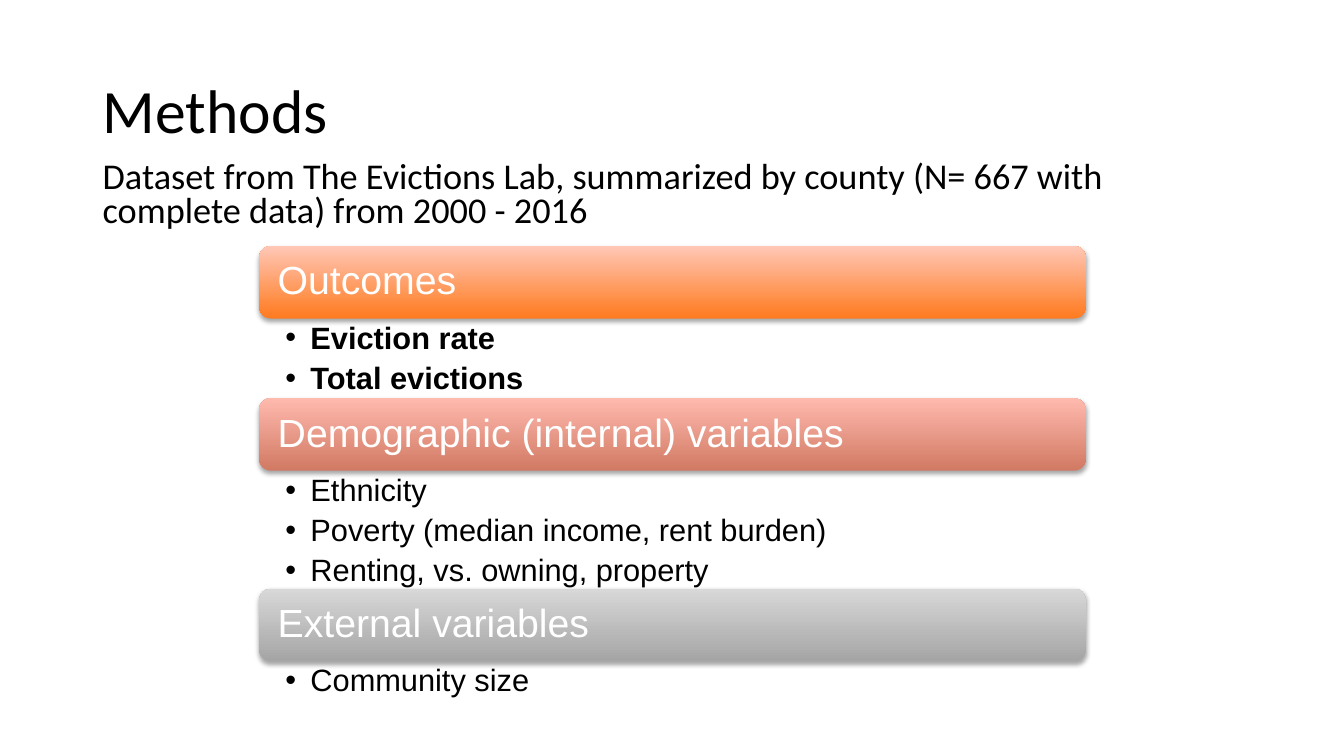
from lxml import etree
from pptx import Presentation, util as u
from pptx.dml.color import RGBColor
from pptx.enum import shapes, text
from pptx.oxml import ns

PX = 9144  # EMU per px, 100 px to the inch

# Bar label, dark and light colour, list height, bold list, items
GROUPS = [
    ("Outcomes", "FF7A1F", "FFC7B6", 79, True,
     ["Eviction rate", "Total evictions"]),
    ("Demographic (internal) variables", "D17963", "FFBAAE", 117, False,
     ["Ethnicity", "Poverty (median income, rent burden)",
      "Renting, vs. owning, property"]),
    ("External variables", "A5A5A5", "D8D8D8", 51, False,
     ["Community size"]),
]
BAR = 72


def px(n):
    return u.Emu(n * PX)


def rgb(code):
    return RGBColor.from_string(code)


def put(obj, **vals):
    for key, val in vals.items():
        setattr(obj, key, val)


def sub(parent, tag, **attrs):
    return etree.SubElement(parent, ns.qn(tag), attrs)


def frame(shape, pad, anchor):
    left, top, right, bottom = map(px, pad)
    put(shape.text_frame, word_wrap=True, auto_size=text.MSO_AUTO_SIZE.NONE,
        vertical_anchor=anchor, margin_left=left, margin_top=top,
        margin_right=right, margin_bottom=bottom)
    return shape.text_frame


def write(para, words, size, face, color, gap=0.9, after=0, bold=False):
    para.text = words
    put(para, alignment=text.PP_ALIGN.LEFT, line_spacing=gap,
        space_before=u.Pt(0), space_after=u.Pt(after))
    put(para.font, size=u.Pt(size), name=face, bold=bold)
    para.font.color.rgb = rgb(color)


def bullet(para):
    props = para._p.get_or_add_pPr()
    props.set("marL", str(px(25)))
    props.set("indent", str(px(-25)))
    sub(props, "a:buFont", typeface="Arial")
    sub(props, "a:buChar", char="•")


def shade(shape):
    shape.shadow.inherit = False
    effects = shape._element.spPr.find(ns.qn("a:effectLst"))
    outer = sub(effects, "a:outerShdw", blurRad=str(u.Pt(3.1)),
                dist=str(u.Pt(1.8)), dir="5400000", rotWithShape="0")
    sub(sub(outer, "a:srgbClr", val="000000"), "a:alpha", val="35000")


def head(slide, x, y, w):
    # Title
    title = slide.shapes.title
    put(title, left=px(x), top=px(y), width=px(w), height=px(145))
    pad = (10, 5, 10, 5)
    body = frame(title, pad, text.MSO_ANCHOR.MIDDLE)
    write(body.paragraphs[0], "Methods", 44, "Calibri", "000000")
    # Data source
    note = slide.shapes.add_textbox(px(x), px(y + 115), px(w), px(85))
    body = frame(note, pad, text.MSO_ANCHOR.TOP)
    write(body.paragraphs[0],
          "Dataset from The Evictions Lab, summarized by county "
          "(N= 667 with complete data) from 2000 - 2016",
          25.9, "Calibri", "000000", gap=0.8)


def group(slide, x, y, w, label, dark, light, high, bold, items):
    # Gradient bar
    bar = slide.shapes.add_shape(shapes.MSO_SHAPE.ROUNDED_RECTANGLE,
                                 px(x), px(y), px(w), px(BAR))
    bar.line.fill.background()
    bar.fill.gradient()
    bar.fill.gradient_angle = 90
    for stop, color in zip(bar.fill.gradient_stops, (dark, light)):
        stop.color.rgb = rgb(color)
    shade(bar)
    body = frame(bar, (15, 12, 15, 12), text.MSO_ANCHOR.MIDDLE)
    write(body.paragraphs[0], label, 28, "Arial", "FFFFFF")
    # Bulleted list
    box = slide.shapes.add_textbox(px(x), px(y + BAR), px(w), px(high))
    body = frame(box, (26, 4, 22, 4), text.MSO_ANCHOR.TOP)
    for i, item in enumerate(items):
        para = body.add_paragraph() if i else body.paragraphs[0]
        bullet(para)
        write(para, item, 22, "Arial", "000000", after=5, bold=bold)
    return y + BAR + high


def main():
    deck = Presentation()
    put(deck, slide_width=px(1333), slide_height=px(750))
    slide = deck.slides.add_slide(deck.slide_layouts.get_by_name("Title Only"))
    head(slide, 92, 40, 1150)
    y = 244
    for row in GROUPS:
        y = group(slide, 257, y, 820, *row)
    deck.save("out.pptx")


if __name__ == "__main__":
    main()
